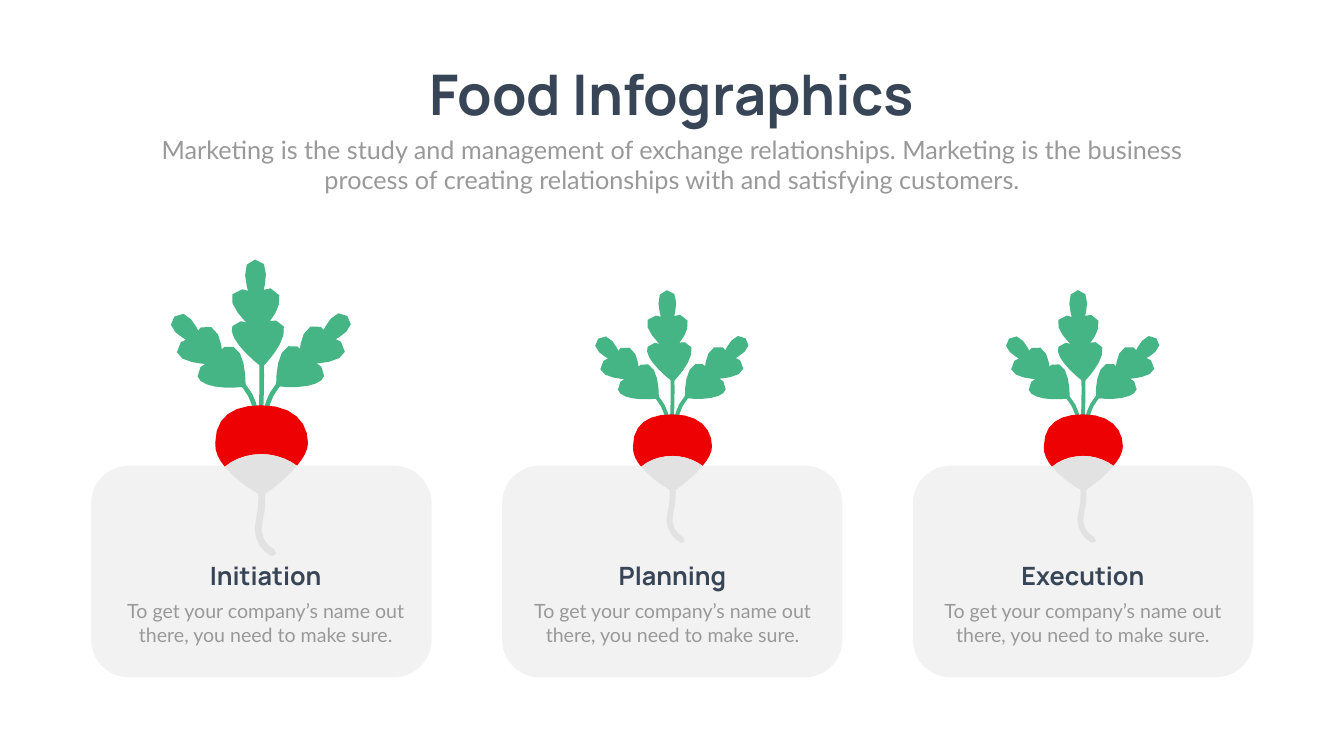
import math

import pptx
import pptx.util
import pptx.dml.color
import pptx.enum.shapes
import pptx.enum.text
from pptx.util import Inches

NAVY, GRAY, CARD = "374556", "999999", "F2F2F2"
GREEN, RED, ROOT = "46B586", "ED0103", "E2E2E2"


def paint(color_format, color):
    color_format.rgb = pptx.dml.color.RGBColor.from_string(color)


def write(box, text, font, size, color, bold=False, wrap=True):
    frame = box.text_frame
    frame.text = text
    frame.word_wrap = wrap
    frame.auto_size = pptx.enum.text.MSO_AUTO_SIZE.SHAPE_TO_FIT_TEXT
    frame.vertical_anchor = pptx.enum.text.MSO_ANCHOR.TOP
    para = frame.paragraphs[0]
    para.alignment = pptx.enum.text.PP_ALIGN.CENTER
    para.line_spacing = 1.0
    para.space_before = pptx.util.Pt(0)
    span = para.runs[0]
    span.font.name = font
    span.font.size = pptx.util.Pt(size)
    span.font.bold = bold
    paint(span.font.color, color)


deck = pptx.Presentation()
deck.slide_width, deck.slide_height = Inches(26.66), Inches(15)
page = deck.slides.add_slide(deck.slide_layouts[5])
page.background.fill.solid()
paint(page.background.fill.fore_color, "FEFFFE")

# Title and introduction
title = page.shapes.title
title.left, title.top = Inches(8.02), Inches(1.14)
title.width, title.height = Inches(10.61), Inches(1.45)
write(title, "Food Infographics", "Manrope", 80, NAVY, bold=True, wrap=False)
intro = page.shapes.add_textbox(Inches(2.92), Inches(2.61), Inches(20.82), Inches(1.31))
write(intro, "Marketing is the study and management of exchange relationships. "
      "Marketing is the business process of creating relationships with and "
      "satisfying customers.", "Lato", 36, GRAY)

# Radish outlines in inches: a start point, then lines (x, y) or
# Bezier curves (two control points and an end point)
side_stem = [(5.31, 8.29), (5.21, 8.28), (5.22, 8.26, 5.23, 7.74, 5.65, 7.47),
             (5.7, 7.54), (5.32, 7.79, 5.31, 8.28, 5.31, 8.29)]
side_leaf = [(5.48, 7.66), (5.48, 7.66, 5.45, 6.99, 5.72, 6.87),
             (5.88, 6.81, 5.95, 6.92, 5.95, 6.92),
             (5.95, 6.92, 5.98, 6.55, 6.16, 6.48),
             (6.36, 6.4, 6.42, 6.55, 6.42, 6.55),
             (6.42, 6.55, 6.64, 6.04, 6.89, 6.27),
             (7.14, 6.49, 6.66, 6.73, 6.66, 6.73),
             (6.66, 6.73, 6.88, 6.79, 6.84, 6.98),
             (6.79, 7.19, 6.28, 7.21, 6.28, 7.21),
             (6.28, 7.21, 6.48, 7.3, 6.43, 7.46),
             (6.38, 7.66, 5.9, 7.72, 5.48, 7.66)]
middle_leaf = [(5.2, 7.29), (5.2, 7.29, 5.7, 6.8, 5.63, 6.48),
               (5.6, 6.31, 5.35, 6.37, 5.35, 6.37),
               (5.35, 6.37, 5.59, 6.11, 5.54, 5.86),
               (5.5, 5.64, 5.23, 5.75, 5.23, 5.75),
               (5.23, 5.75, 5.41, 5.14, 5.06, 5.15),
               (4.72, 5.16, 4.92, 5.77, 4.92, 5.77),
               (4.92, 5.77, 4.71, 5.67, 4.61, 5.84),
               (4.51, 6.05, 4.89, 6.4, 4.89, 6.4),
               (4.89, 6.4, 4.68, 6.31, 4.61, 6.47),
               (4.52, 6.66, 4.85, 7.02, 5.2, 7.29)]
middle_stem = [(5.22, 8.27), (5.13, 8.27), (5.17, 7.19, 5.13, 7.05, 5.13, 7.04),
               (5.22, 7.01), (5.22, 7.02, 5.26, 7.16, 5.22, 8.27)]
bulb = [(5.89, 9.24), (6.02, 9.09, 6.11, 8.93, 6.11, 8.79),
        (6.11, 8.38, 5.82, 8.04, 5.18, 8.04),
        (4.63, 8.04, 4.27, 8.26, 4.27, 8.79),
        (4.26, 8.96, 4.34, 9.12, 4.46, 9.26),
        (4.65, 9.1, 4.91, 9.01, 5.19, 9.01),
        (5.45, 9.01, 5.7, 9.1, 5.89, 9.24)]
tip = [(5.2, 9.84), (5.2, 9.84, 5.64, 9.56, 5.89, 9.24),
       (5.7, 9.1, 5.45, 9.01, 5.19, 9.01),
       (4.91, 9.01, 4.65, 9.1, 4.46, 9.26),
       (4.74, 9.61, 5.2, 9.84, 5.2, 9.84)]
tail = [(5.41, 11.03), (5.38, 11.03),
        (5.16, 10.92, 4.98, 10.63, 5.08, 10.29),
        (5.16, 10.02, 5.11, 9.66, 5.11, 9.65),
        (5.1, 9.62, 5.13, 9.58, 5.17, 9.58),
        (5.2, 9.57, 5.24, 9.6, 5.24, 9.63),
        (5.25, 9.65, 5.3, 10.03, 5.21, 10.33),
        (5.13, 10.6, 5.27, 10.82, 5.44, 10.9),
        (5.48, 10.92, 5.49, 10.96, 5.48, 10.99),
        (5.46, 11.02, 5.44, 11.03, 5.41, 11.03)]

# Outline, colour, mirrored to the left side
radish = [(side_stem, GREEN, False), (side_leaf, GREEN, False),
          (side_stem, GREEN, True), (side_leaf, GREEN, True),
          (middle_leaf, GREEN, False), (middle_stem, GREEN, False),
          (bulb, RED, False), (tip, ROOT, False), (tail, ROOT, False)]

# Each radish is scaled about the point where it meets the card
MIDDLE, SOIL, MIRROR_AXIS = 5.19, 9.26, 5.175
COLUMN_STEP = 8.15

stages = [("Initiation", 1, 2.31), ("Planning", 0.852, 10.38), ("Execution", 0.852, 18.52)]
for column, (stage, scale, text_left) in enumerate(stages):
    shift = column * COLUMN_STEP

    # Card
    card = page.shapes.add_shape(pptx.enum.shapes.MSO_SHAPE.ROUNDED_RECTANGLE,
                                 Inches(1.81 + shift), Inches(9.24), Inches(6.75), Inches(4.2))
    card.adjustments[0] = 0.178
    card.shadow.inherit = False
    card.fill.solid()
    paint(card.fill.fore_color, CARD)
    card.line.fill.background()

    # Radish, with more points on longer curves
    group = page.shapes.add_group_shape()
    for outline, color, mirrored in radish:
        points = [outline[0]]
        for segment in outline[1:]:
            if len(segment) == 2:
                points.append(segment)
                continue
            x0, y0 = points[-1]
            x1, y1, x2, y2, x3, y3 = segment
            steps = min(6, math.ceil(6 * math.hypot(x3 - x0, y3 - y0)))
            for step in range(1, steps + 1):
                t = step / steps
                a, b, c, d = (1 - t) ** 3, 3 * t * (1 - t) ** 2, 3 * t * t * (1 - t), t ** 3
                points.append((a * x0 + b * x1 + c * x2 + d * x3,
                               a * y0 + b * y1 + c * y2 + d * y3))
        if mirrored:
            points = [(2 * MIRROR_AXIS - x, y + 0.01) for x, y in points]
        points = [(Inches(MIDDLE + shift + (x - MIDDLE) * scale),
                   Inches(SOIL + (y - SOIL) * scale)) for x, y in points]
        builder = group.shapes.build_freeform(*points[0])
        builder.add_line_segments(points[1:], close=True)
        part = builder.convert_to_shape()
        part.shadow.inherit = False
        part.fill.solid()
        paint(part.fill.fore_color, color)
        part.line.fill.background()

    # Heading and description
    heading = page.shapes.add_textbox(Inches(text_left), Inches(11.06), Inches(5.92), Inches(0.71))
    write(heading, stage, "Manrope", 36, NAVY, bold=True)
    description = page.shapes.add_textbox(Inches(text_left), Inches(11.84),
                                          Inches(5.92), Inches(1.04))
    write(description, "To get your company’s name out there, you need to make sure.",
          "Lato", 28, GRAY)

deck.save("out.pptx")
